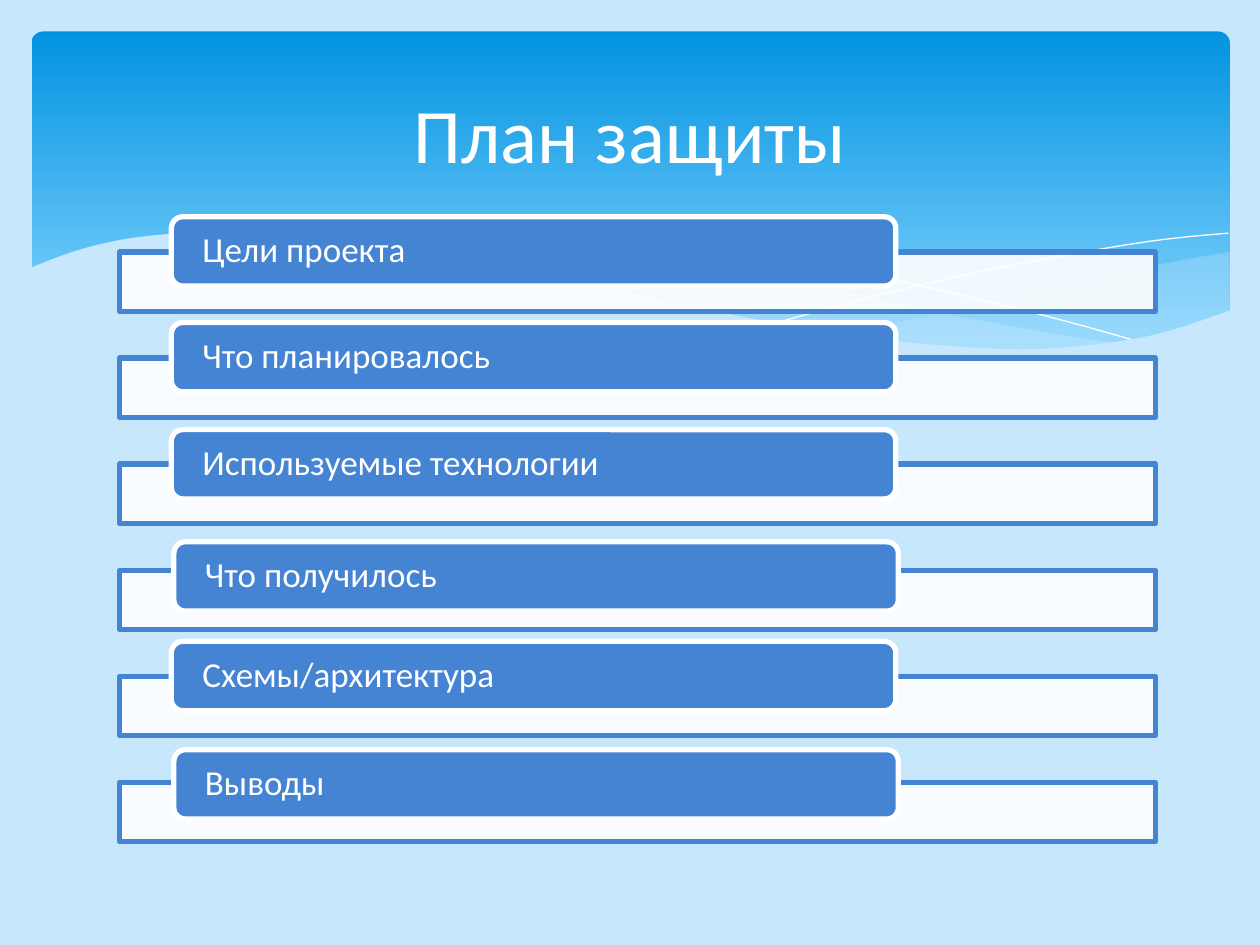
from dataclasses import dataclass

from lxml import etree
from pptx import Presentation
from pptx.dml.color import RGBColor
from pptx.enum import shapes as kinds, text
from pptx.oxml.ns import qn
from pptx.util import Inches, Pt


@dataclass(frozen=True)
class Theme:
    sky: str = "C6E7FC"
    banner_top: str = "0293E0"
    banner_bottom: str = "83D3FE"
    accent: str = "4584D3"
    white: str = "FFFFFF"
    font: str = "Calibri"
    title_size: int = 44
    topic_size: int = 20
    border: int = 3


THEME = Theme()
TITLE = "План защиты"

# Topic, left and top of its label
TOPICS = [
    ("Цели проекта", 1.36, 1.72),
    ("Что планировалось", 1.36, 2.56),
    ("Используемые технологии", 1.36, 3.41),
    ("Что получилось", 1.38, 4.30),
    ("Схемы/архитектура", 1.36, 5.09),
    ("Выводы", 1.38, 5.95),
]
LABEL_SIZE = (5.75, 0.55)
BAR_LEFT, BAR_TOP, BAR_STEP = 0.95, 2.0, 0.842
BAR_SIZE = (8.22, 0.47)

# Each wave is a list of edges; every edge is a curve through its points
# Filled waves: edges and opacity in percent
RIGHT_WAVE = ([
    [(9.76, 2), (9.35, 2.07), (8.61, 2.23), (7.79, 2.42), (7.06, 2.57), (6.61, 2.65)],
    [(6.61, 2.65), (7.05, 2.71), (7.57, 2.76), (8.14, 2.78), (8.63, 2.75),
     (9.05, 2.69), (9.42, 2.59), (9.76, 2.47)],
], 29)
MIDDLE_WAVE = ([
    [(8.93, 2.73), (8.37, 2.65), (7.41, 2.47), (6.29, 2.22), (5.55, 2.05),
     (4.89, 1.94), (4.2, 1.87), (3.61, 1.85), (2.86, 1.91)],
    [(2.86, 1.91), (3.62, 2.03), (4.49, 2.22), (5.3, 2.4), (6.01, 2.55),
     (6.8, 2.68), (7.48, 2.76), (8.07, 2.78), (8.57, 2.77), (8.93, 2.73)],
], 40)
FRONT_WAVE = ([
    [(0.23, 2.13), (0.67, 1.97), (1.19, 1.87), (1.93, 1.84), (2.71, 1.88),
     (3.65, 2.02), (4.47, 2.2), (5.29, 2.39), (6.03, 2.54), (6.88, 2.68),
     (7.61, 2.75), (8.23, 2.77), (8.87, 2.71), (9.3, 2.62), (9.77, 2.46)],
    [(9.77, 3.29), (0.23, 3.29)],
], 100)
FALLING_LINE = [(3.09, 1.95), (3.53, 1.89), (4.16, 1.87), (4.89, 1.9), (5.56, 1.97),
                (6.36, 2.08), (7.27, 2.26), (8.31, 2.51), (9.07, 2.72)]
RISING_LINE = [(6.13, 2.57), (6.95, 2.35), (7.76, 2.16), (8.66, 1.99),
               (9.24, 1.9), (9.75, 1.85)]


def rgb(color):
    return RGBColor.from_string(color)


def smooth(knots, steps=5):
    """Points of a Catmull-Rom curve through the knots."""
    if len(knots) < 3:
        return knots
    padded = [knots[0], *knots, knots[-1]]
    points = [knots[0]]
    for a, b, c, d in zip(padded, padded[1:], padded[2:], padded[3:]):
        for step in range(1, steps + 1):
            t = step / steps
            points.append(tuple(
                (2 * q + (r - p) * t + (2 * p - 5 * q + 4 * r - s) * t ** 2
                 + (3 * q - p - 3 * r + s) * t ** 3) / 2
                for p, q, r, s in zip(a, b, c, d)))
    return points


def paint(shape, fill=None, line=None, width=THEME.border, opacity=100):
    shape.shadow.inherit = False
    if fill:
        shape.fill.solid()
        shape.fill.fore_color.rgb = rgb(fill)
        if opacity < 100:
            color = shape.fill._xPr.find(qn("a:solidFill"))[0]
            etree.SubElement(color, qn("a:alpha")).set("val", str(opacity * 1000))
    else:
        shape.fill.background()
    if line:
        shape.line.color.rgb = rgb(line)
        shape.line.width = Pt(width)
    else:
        shape.line.fill.background()


def add_box(slide, kind, left, top, size):
    return slide.shapes.add_shape(kind, *map(Inches, (left, top, *size)))


def add_curve(slide, edges, close):
    start, *rest = [(Inches(x), Inches(y)) for edge in edges for x, y in smooth(edge)]
    builder = slide.shapes.build_freeform(*start)
    builder.add_line_segments(rest, close=close)
    return builder.convert_to_shape()


def add_wave(slide, edges, opacity):
    paint(add_curve(slide, edges, close=True), fill=THEME.sky, opacity=opacity)


def write(shape, words, size, align):
    frame = shape.text_frame
    frame.word_wrap = True
    frame.vertical_anchor = text.MSO_ANCHOR.MIDDLE
    paragraph = frame.paragraphs[0]
    paragraph.alignment = align
    run = paragraph.add_run()
    run.text = words
    run.font.name = THEME.font
    run.font.size = Pt(size)
    run.font.color.rgb = rgb(THEME.white)
    return frame


def add_banner(slide):
    banner = add_box(slide, kinds.MSO_SHAPE.ROUNDED_RECTANGLE, 0.25, 0.25, (9.51, 2.7))
    banner.adjustments[0] = 0.034
    paint(banner)
    banner.fill.gradient()
    banner.fill.gradient_angle = 270
    stops = ((0, THEME.banner_top), (0.9, THEME.banner_bottom))
    for stop, (position, color) in zip(banner.fill.gradient_stops, stops):
        stop.position = position
        stop.color.rgb = rgb(color)

    add_wave(slide, *RIGHT_WAVE)
    add_wave(slide, *MIDDLE_WAVE)
    for knots in (FALLING_LINE, RISING_LINE):
        paint(add_curve(slide, [knots], close=False), line=THEME.white, width=0)
    add_wave(slide, *FRONT_WAVE)


def add_topic(slide, index, topic, left, top):
    bar = add_box(slide, kinds.MSO_SHAPE.RECTANGLE,
                  BAR_LEFT, BAR_TOP + index * BAR_STEP, BAR_SIZE)
    paint(bar, fill=THEME.white, line=THEME.accent, opacity=90)
    label = add_box(slide, kinds.MSO_SHAPE.ROUNDED_RECTANGLE, left, top, LABEL_SIZE)
    paint(label, fill=THEME.accent, line=THEME.white)
    frame = write(label, topic, THEME.topic_size, text.PP_ALIGN.LEFT)
    frame.margin_left = frame.margin_right = Inches(0.22)
    frame.margin_top = frame.margin_bottom = 0
    frame.paragraphs[0].line_spacing = 0.9


def main():
    deck = Presentation()
    deck.slide_width, deck.slide_height = Inches(10), Inches(7.5)
    slide = deck.slides.add_slide(deck.slide_layouts[6])
    slide.background.fill.solid()
    slide.background.fill.fore_color.rgb = rgb(THEME.sky)

    add_banner(slide)
    for index, (topic, left, top) in enumerate(TOPICS):
        add_topic(slide, index, topic, left, top)
    title = slide.shapes.add_textbox(*map(Inches, (0.5, 0.37, 9, 1.37)))
    write(title, TITLE, THEME.title_size, text.PP_ALIGN.CENTER)

    deck.save("out.pptx")


if __name__ == "__main__":
    main()
